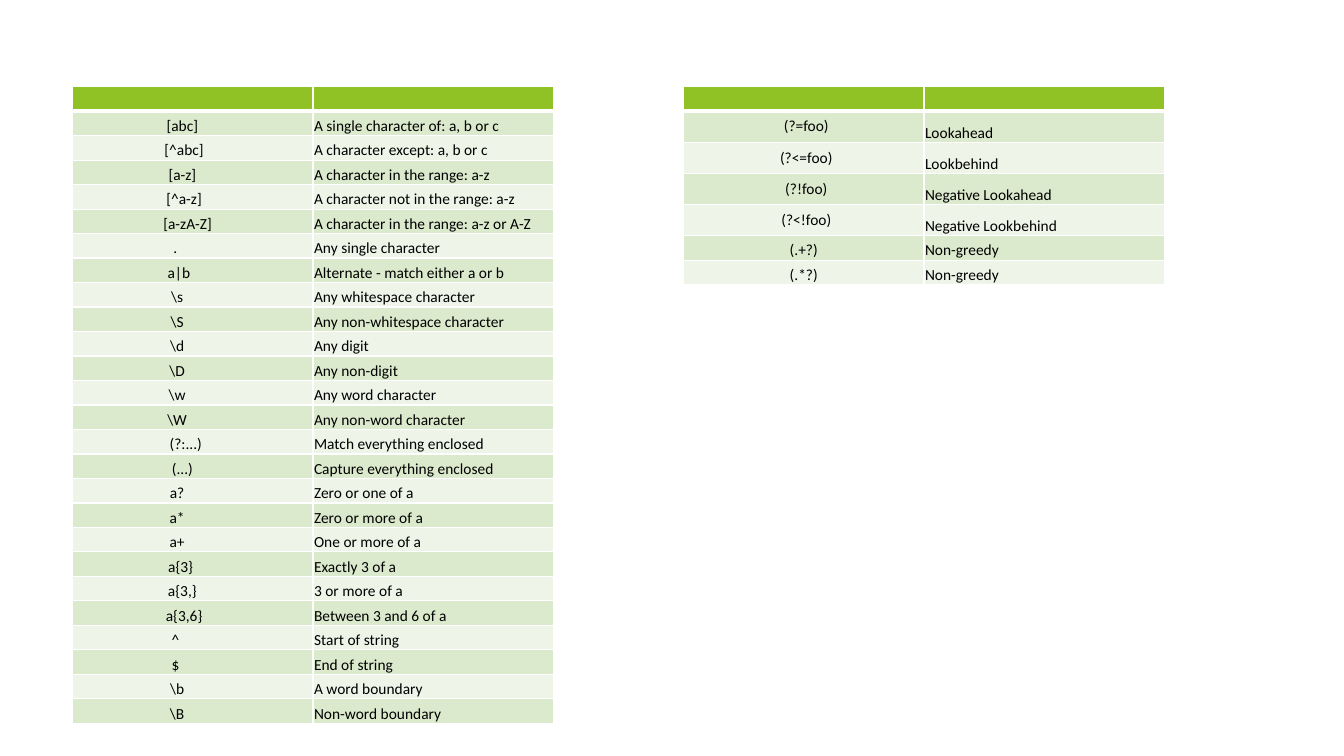
from dataclasses import dataclass

from lxml import etree
from pptx import Presentation
from pptx.dml.color import RGBColor
from pptx.enum.text import MSO_ANCHOR, PP_ALIGN
from pptx.oxml.ns import qn
from pptx.util import Inches, Pt

TOP, BOTTOM = MSO_ANCHOR.TOP, MSO_ANCHOR.BOTTOM
LEFT, CENTER = PP_ALIGN.LEFT, PP_ALIGN.CENTER


@dataclass(frozen=True)
class Theme:
    font: str = "Calibri"
    size: int = 11
    text: str = "000000"
    header: str = "90C226"
    odd_row: str = "DBE9CD"
    even_row: str = "EEF4E8"
    border: str = "FFFFFF"
    thin: int = 1
    thick: int = 3


THEME = Theme()
TABLE_TOP = 0.86
TABLE_WIDTH = 4.77
ROW_HEIGHT = 6.32 / 26
TIGHT = (0.01, 0.01, 0.01, 0)
ROOMY = (0.11, 0.06, 0.06, 0.06)
PATTERN_CHARS = 11
CHAR_INDENT = 0.38 / PATTERN_CHARS

SYNTAX = [
    ("[abc]", "A single character of: a, b or c"),
    ("[^abc]", "A character except: a, b or c"),
    ("[a-z]", "A character in the range: a-z"),
    ("[^a-z]", "A character not in the range: a-z"),
    ("[a-zA-Z]", "A character in the range: a-z or A-Z"),
    (".", "Any single character"),
    ("a|b", "Alternate - match either a or b"),
    (r"\s", "Any whitespace character"),
    (r"\S", "Any non-whitespace character"),
    (r"\d", "Any digit"),
    (r"\D", "Any non-digit"),
    (r"\w", "Any word character"),
    (r"\W", "Any non-word character"),
    ("(?:...)", "Match everything enclosed"),
    ("(...)", "Capture everything enclosed"),
    ("a?", "Zero or one of a"),
    ("a*", "Zero or more of a"),
    ("a+", "One or more of a"),
    ("a{3}", "Exactly 3 of a"),
    ("a{3,}", "3 or more of a"),
    ("a{3,6}", "Between 3 and 6 of a"),
    ("^", "Start of string"),
    ("$", "End of string"),
    (r"\b", "A word boundary"),
    (r"\B", "Non-word boundary"),
]
LOOKAROUND = [
    ("(?=foo)", "Lookahead"),
    ("(?<=foo)", "Lookbehind"),
    ("(?!foo)", "Negative Lookahead"),
    ("(?<!foo)", "Negative Lookbehind"),
]
NON_GREEDY = [("(.+?)", "Non-greedy"), ("(.*?)", "Non-greedy")]


def set_borders(cell, top=THEME.thin, bottom=THEME.thin):
    tc_pr = cell._tc.get_or_add_tcPr()
    widths = {"a:lnL": THEME.thin, "a:lnR": THEME.thin, "a:lnT": top, "a:lnB": bottom}
    for tag, width in widths.items():
        ln = etree.SubElement(tc_pr, qn(tag), w=str(Pt(width)))
        fill = etree.SubElement(ln, qn("a:solidFill"))
        etree.SubElement(fill, qn("a:srgbClr"), val=THEME.border)


def set_fill(cell, color):
    cell.fill.solid()
    cell.fill.fore_color.rgb = RGBColor.from_string(color)


def set_margins(cell, margins):
    left, top, right, bottom = (Inches(m) for m in margins)
    cell.margin_left, cell.margin_right = left, right
    cell.margin_top, cell.margin_bottom = top, bottom


def style_header(cell):
    set_borders(cell, bottom=THEME.thick)
    set_fill(cell, THEME.header)
    set_margins(cell, TIGHT)
    p = cell.text_frame.paragraphs[0]
    etree.SubElement(p._p, qn("a:endParaRPr"), sz=str(THEME.size * 100))


def write_cell(cell, text, align, margins, anchor=BOTTOM):
    set_margins(cell, margins)
    cell.vertical_anchor = anchor
    p = cell.text_frame.paragraphs[0]
    p.text = text
    p.alignment = align
    p.font.name = THEME.font
    p.font.size = Pt(THEME.size)
    p.font.color.rgb = RGBColor.from_string(THEME.text)


def pattern_margins(pattern, indented):
    left, top, right, bottom = TIGHT
    if indented:
        right += (PATTERN_CHARS - len(pattern)) * CHAR_INDENT
    return left, top, right, bottom


def add_regex_table(slide, left, entries, indented=False):
    count = len(entries) + 1
    table = slide.shapes.add_table(
        count, 2, Inches(left), Inches(TABLE_TOP),
        Inches(TABLE_WIDTH), Inches(ROW_HEIGHT * count)).table
    for cell in table.rows[0].cells:
        style_header(cell)
    for row, (pattern, meaning) in enumerate(entries, 1):
        for cell in table.rows[row].cells:
            set_borders(cell, top=THEME.thick if row == 1 else THEME.thin)
            set_fill(cell, THEME.odd_row if row % 2 else THEME.even_row)
        if (pattern, meaning) in LOOKAROUND:
            write_cell(table.cell(row, 0), pattern, CENTER, ROOMY, TOP)
        else:
            write_cell(table.cell(row, 0), pattern, CENTER,
                       pattern_margins(pattern, indented))
        write_cell(table.cell(row, 1), meaning, LEFT, TIGHT)


def main():
    prs = Presentation()
    prs.slide_width, prs.slide_height = Inches(13.33), Inches(7.5)
    slide = prs.slides.add_slide(prs.slide_layouts[6])
    add_regex_table(slide, 0.72, SYNTAX, indented=True)
    add_regex_table(slide, 6.78, LOOKAROUND + NON_GREEDY)
    prs.save("out.pptx")


if __name__ == "__main__":
    main()
